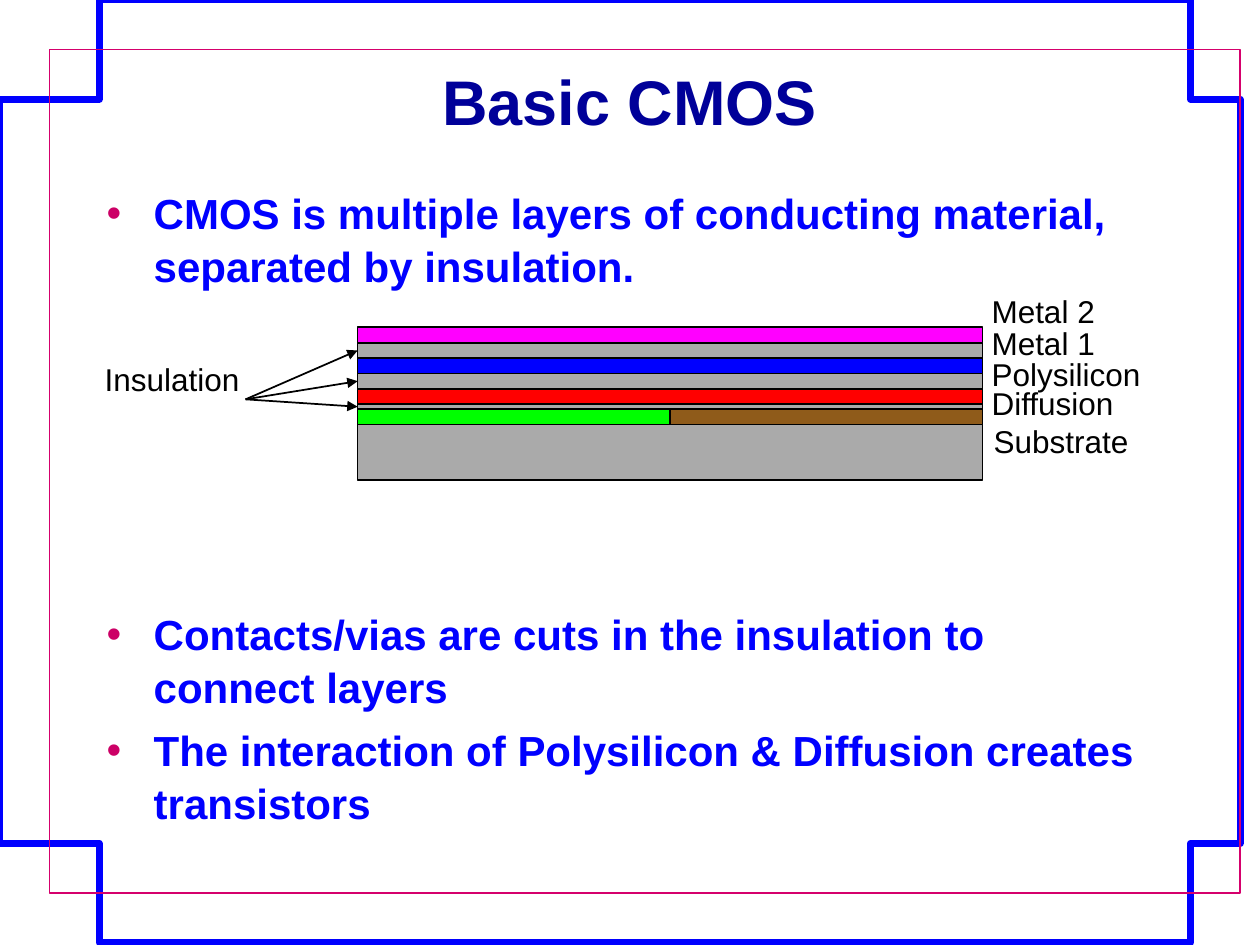
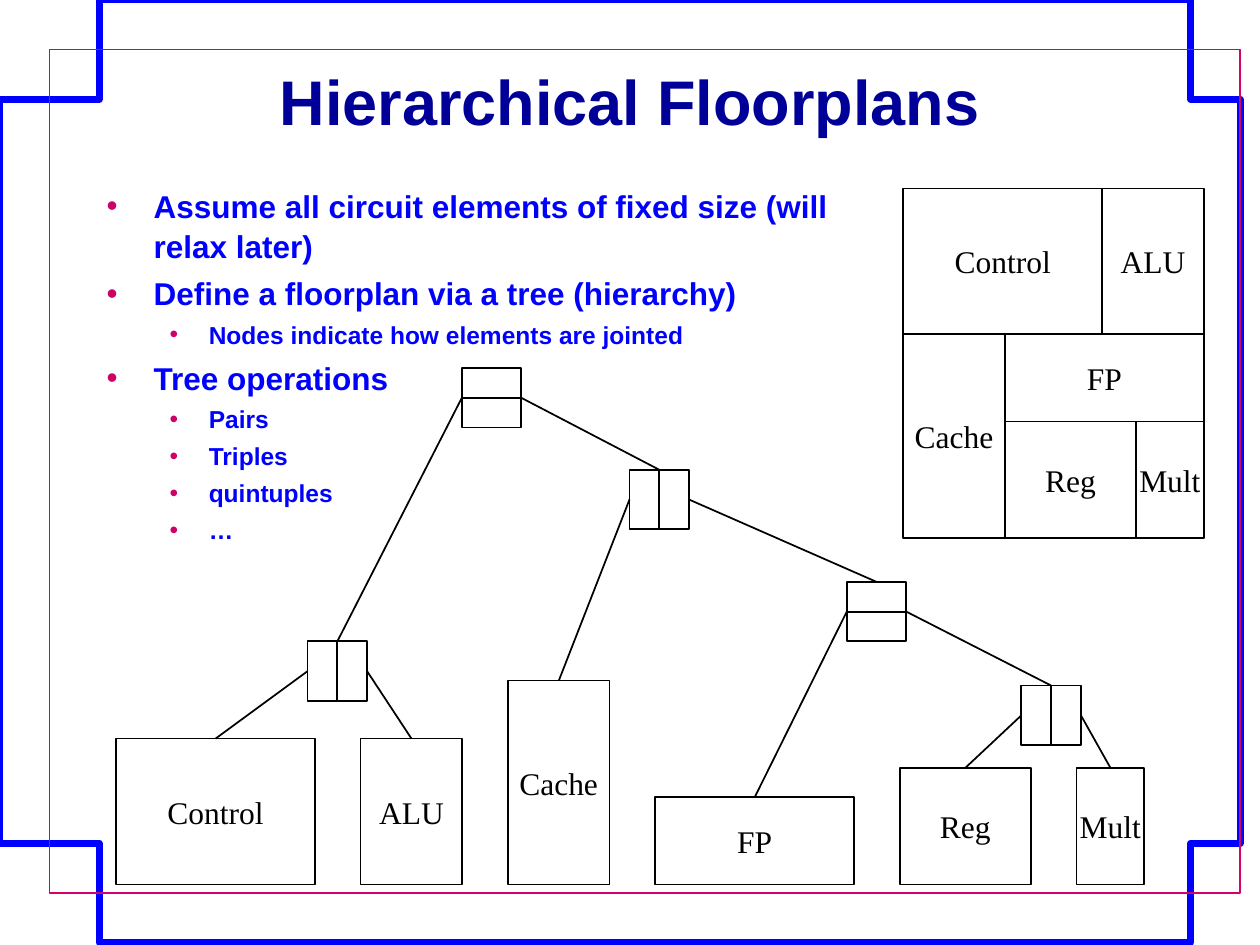
"""Builds two chip design slides: CMOS layers and hierarchical floorplans."""
from collections import namedtuple
from itertools import pairwise

from lxml.etree import SubElement
from pptx import Presentation
from pptx.dml.color import RGBColor
from pptx.enum.shapes import MSO_CONNECTOR as Connector, MSO_SHAPE as Shape
from pptx.enum.text import MSO_ANCHOR as Anchor, PP_ALIGN as Align
from pptx.oxml.ns import qn
from pptx.util import Cm, Pt

BLACK, WHITE, BLUE, NAVY = "000000", "FFFFFF", "0000FF", "000099"
BULLET, INNER_FRAME, INSULATOR = "CC0066", "D5006C", "AAAAAA"
SANS, SERIF = "Arial", "Times New Roman"

OUTER = [(0.23, 1.65), (1.6, 1.65), (1.6, 0.25), (23.75, 0.25), (23.75, 1.65),
         (25.2, 1.65), (25.2, 17.4), (23.75, 17.4), (23.75, 18.8), (1.6, 18.8),
         (1.6, 17.4), (0.23, 17.4)]
INNER = [(0.91, 0.89), (24.51, 0.89), (24.51, 18.16), (0.91, 18.16)]

Level = namedtuple("Level", "size before margin hang")
LARGE = Level(24, 6, 0.95, 0.95)
MAIN = Level(18, 4.5, 0.95, 0.95)
SUB = Level(14, 3.5, 2.06, 0.79)
DIAGRAM_GAP = 180

CMOS_POINTS = [
    (LARGE, "CMOS is multiple layers of conducting material, separated by insulation."),
    (LARGE._replace(before=DIAGRAM_GAP),
     "Contacts/vias are cuts in the insulation to connect layers"),
    (LARGE, "The interaction of Polysilicon & Diffusion creates transistors"),
]
FLOORPLAN_POINTS = [
    (MAIN, "Assume all circuit elements of fixed size (will relax later)"),
    (MAIN, "Define a floorplan via a tree (hierarchy)"),
    (SUB, "Nodes indicate how elements are jointed"),
    (MAIN, "Tree operations"),
    (SUB, "Pairs"),
    (SUB, "Triples"),
    (SUB, "quintuples"),
    (SUB, "…"),
]

STACK_LEFT, STACK_TOP, STACK_WIDTH = 7.21, 6.6, 12.6
FILM = 0.31
LAYERS = [
    (FILM, ["FF00FF"]),
    (FILM, [INSULATOR]),
    (FILM, [BLUE]),
    (FILM, [INSULATOR]),
    (FILM, ["FF0000"]),
    (0.1, [INSULATOR]),
    (FILM, ["00FF00", "8F5B1A"]),
    (1.12, [INSULATOR]),
]
LAYER_LABELS = [
    ("Metal 2", 19.94, 5.66), ("Metal 1", 19.94, 6.32), ("Polysilicon", 19.94, 6.93),
    ("Diffusion", 19.94, 7.52), ("Substrate", 19.98, 8.28), ("Insulation", 2.06, 7.04),
]
ARROW_START = (4.95, 8.05)

Block = namedtuple("Block", "name width height")
Node = namedtuple("Node", "cut left top children")
ROWS, COLUMNS = "rows", "columns"
TREE = Node(ROWS, 9.31, 7.42, [
    Node(COLUMNS, 6.2, 12.93, [Block("Control", 4.01, 2.94), Block("ALU", 2.05, 2.94)]),
    Node(COLUMNS, 12.69, 9.47, [
        Block("Cache", 2.05, 4.11),
        Node(ROWS, 17.07, 11.73, [
            Block("FP", 4.01, 1.76),
            Node(COLUMNS, 20.59, 13.82, [Block("Reg", 2.64, 2.35), Block("Mult", 1.37, 2.35)]),
        ]),
    ]),
])
FLOORPLAN_LEFT, FLOORPLAN_TOP = 18.21, 3.8
NODE_SIZE = 1.2
LEAF_LEFT, LEAF_GAP, LEAF_BOTTOM = 2.34, 0.92, 17.83


def rgb(color):
    return RGBColor.from_string(color)


def set_font(paragraph, face, size, color, bold=False):
    font = paragraph.font
    font.name, font.size, font.bold = face, Pt(size), bold
    font.color.rgb = rgb(color)


def add_text(slide, left, top, width, height):
    frame = slide.shapes.add_textbox(*map(Cm, (left, top, width, height))).text_frame
    frame.word_wrap = True
    return frame


def add_box(slide, left, top, width, height, fill=WHITE):
    box = slide.shapes.add_shape(Shape.RECTANGLE, *map(Cm, (left, top, width, height)))
    box.shadow.inherit = False
    box.fill.solid()
    box.fill.fore_color.rgb = rgb(fill)
    box.line.color.rgb = rgb(BLACK)
    box.line.width = Pt(1)
    return box


def add_line(slide, start, end, arrow=False):
    line = slide.shapes.add_connector(Connector.STRAIGHT, *map(Cm, (*start, *end)))
    line.line.color.rgb = rgb(BLACK)
    line.line.width = Pt(1)
    properties = line._element.spPr
    SubElement(properties, qn("a:effectLst"))
    if arrow:
        SubElement(properties.find(qn("a:ln")), qn("a:tailEnd"), type="triangle")


def add_border(slide, corners, color, weight):
    builder = slide.shapes.build_freeform(*corners[0], scale=Cm(1))
    builder.add_line_segments(corners[1:], close=True)
    border = builder.convert_to_shape()
    border.shadow.inherit = False
    border.fill.background()
    border.line.color.rgb = rgb(color)
    border.line.width = Pt(weight)


def add_bullets(slide, points, width):
    frame = add_text(slide, 1.9, 3.61, width, 13.33)
    for index, (level, wording) in enumerate(points):
        paragraph = frame.add_paragraph() if index else frame.paragraphs[0]
        paragraph.text = wording
        properties = paragraph._p.get_or_add_pPr()
        properties.set("marL", str(Cm(level.margin)))
        properties.set("indent", str(-Cm(level.hang)))
        SubElement(SubElement(properties, qn("a:buClr")), qn("a:srgbClr"), val=BULLET)
        SubElement(properties, qn("a:buFont"), typeface=SANS)
        SubElement(properties, qn("a:buChar"), char="•")
        paragraph.space_before = Pt(level.before)
        paragraph.line_spacing = 1.05
        set_font(paragraph, SANS, level.size, BLUE, bold=True)


def add_slide(deck, heading, points, width):
    slide = deck.slides.add_slide(deck.slide_layouts[6])
    add_border(slide, OUTER, BLUE, 4)
    add_border(slide, INNER, INNER_FRAME, 1)
    title = add_text(slide, 1.9, 1.07, 21.59, 1.9)
    title.vertical_anchor = Anchor.MIDDLE
    title.text = heading
    title.paragraphs[0].alignment = Align.CENTER
    set_font(title.paragraphs[0], SANS, 36, NAVY, bold=True)
    add_bullets(slide, points, width)
    return slide


def add_layer_label(slide, name, left, top):
    frame = add_text(slide, left, top, 4.14, 2.08)
    frame.margin_left = frame.margin_right = Cm(0.05)
    frame.margin_top = frame.margin_bottom = Cm(0.08)
    frame.text = name
    label = frame.paragraphs[0]
    label.line_spacing = Pt(25.6)
    label.space_before = label.space_after = Pt(11.9)
    set_font(label, SANS, 18, BLACK)


def add_layer_stack(slide):
    top = STACK_TOP
    insulation_middles = []
    for height, fills in LAYERS:
        width = STACK_WIDTH / len(fills)
        for column, fill in enumerate(fills):
            add_box(slide, STACK_LEFT + column * width, top, width, height, fill)
        if fills == [INSULATOR]:
            insulation_middles.append(top + height / 2)
        top += height
    for middle in insulation_middles[:-1]:
        add_line(slide, ARROW_START, (STACK_LEFT, middle), arrow=True)
    for label in LAYER_LABELS:
        add_layer_label(slide, *label)


def add_block(slide, block, left, top):
    box = add_box(slide, left, top, block.width, block.height)
    frame = box.text_frame
    frame.word_wrap = False
    frame.vertical_anchor = Anchor.MIDDLE
    frame.text = block.name
    frame.paragraphs[0].alignment = Align.CENTER
    set_font(frame.paragraphs[0], SERIF, 18, BLACK)


def add_floorplan(slide, part, left, top):
    if isinstance(part, Block):
        add_block(slide, part, left, top)
        return part.width, part.height
    width = height = 0
    for child in part.children:
        if part.cut == ROWS:
            child_width, child_height = add_floorplan(slide, child, left, top + height)
            width, height = max(width, child_width), height + child_height
        else:
            child_width, child_height = add_floorplan(slide, child, left + width, top)
            width, height = width + child_width, max(height, child_height)
    return width, height


def leaves(part):
    if isinstance(part, Block):
        return [part]
    return [leaf for child in part.children for leaf in leaves(child)]


def add_tree(slide, part, leaf_lefts):
    """Draws a subtree and returns the top centre of its root."""
    if isinstance(part, Block):
        left, top = leaf_lefts[part.name], LEAF_BOTTOM - part.height
        add_block(slide, part, left, top)
        return left + part.width / 2, top
    left, top = part.left, part.top
    right, bottom = left + NODE_SIZE, top + NODE_SIZE
    center, middle = left + NODE_SIZE / 2, top + NODE_SIZE / 2
    add_box(slide, left, top, NODE_SIZE, NODE_SIZE)
    if part.cut == ROWS:
        add_line(slide, (left, middle), (right, middle))
    else:
        add_line(slide, (center, top), (center, bottom))
    for side, child in zip((left, right), part.children):
        add_line(slide, (side, middle), add_tree(slide, child, leaf_lefts))
    return center, top


def main():
    deck = Presentation()
    deck.slide_width, deck.slide_height = Cm(25.4), Cm(19.05)

    cmos = add_slide(deck, "Basic CMOS", CMOS_POINTS, 21.59)
    add_layer_stack(cmos)

    floorplans = add_slide(deck, "Hierarchical Floorplans", FLOORPLAN_POINTS, 16.31)
    add_floorplan(floorplans, TREE, FLOORPLAN_LEFT, FLOORPLAN_TOP)
    blocks = leaves(TREE)
    leaf_lefts = {blocks[0].name: LEAF_LEFT}
    for before, block in pairwise(blocks):
        leaf_lefts[block.name] = leaf_lefts[before.name] + before.width + LEAF_GAP
    add_tree(floorplans, TREE, leaf_lefts)

    deck.save("out.pptx")


if __name__ == "__main__":
    main()
